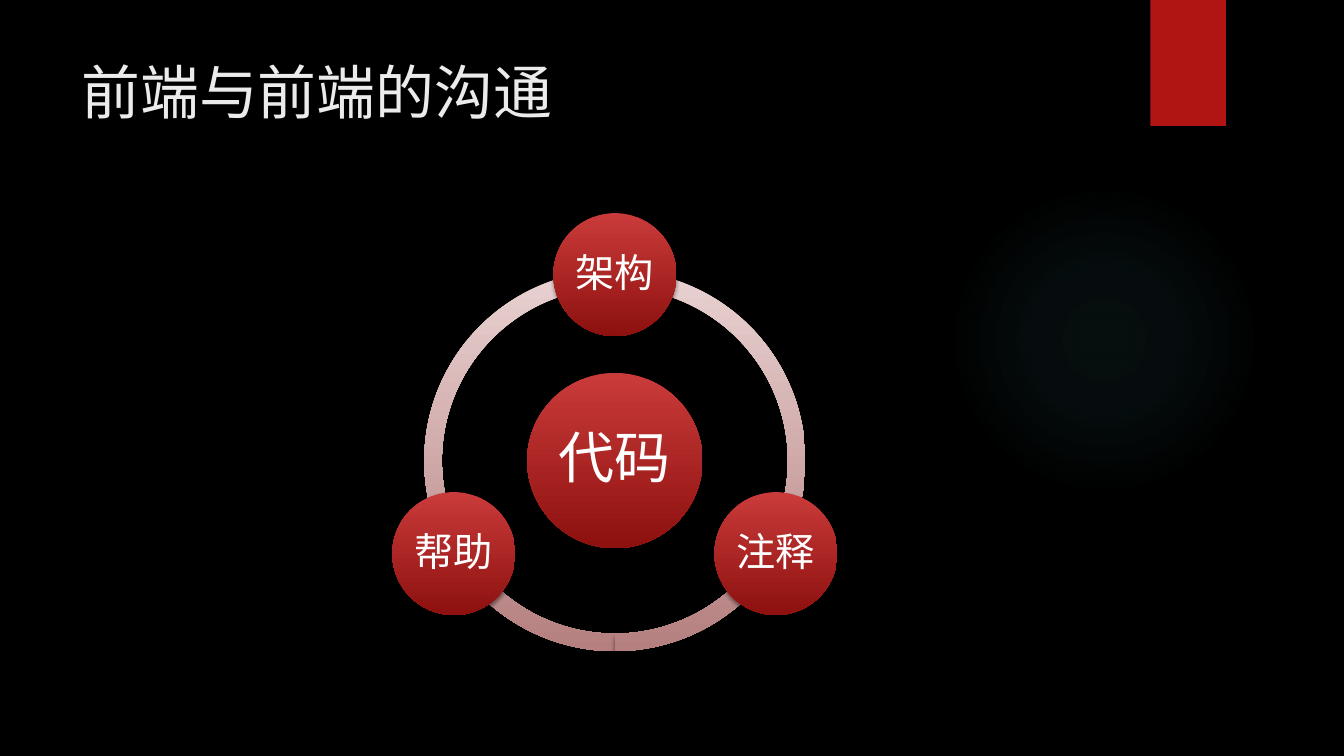
from math import cos, radians, sin

from pptx import Presentation
from pptx.dml.color import RGBColor
from pptx.enum.shapes import MSO_SHAPE
from pptx.enum.text import MSO_ANCHOR, PP_ALIGN
from pptx.oxml import parse_xml
from pptx.oxml.ns import nsdecls
from pptx.util import Inches, Pt

OVAL, RECTANGLE, ARC = MSO_SHAPE.OVAL, MSO_SHAPE.RECTANGLE, MSO_SHAPE.BLOCK_ARC
CENTER, MIDDLE = PP_ALIGN.CENTER, MSO_ANCHOR.MIDDLE
WIDTH, HEIGHT = 13.33, 7.5
FONT = "Quicksand"
COLORS = {
    "background": "000000", "title": "EBEBEB", "label": "FFFFFF",
    "shadow": "000000", "ribbon": "B01513", "glow": "50B9C1",
    "ring_top": "E8D2D1", "ring_bottom": "B57F7F",
    "disc_top": "C93B3A", "disc_bottom": "8D110F",
}

# Cycle geometry, in inches and degrees
HUB = (0.4575 * WIDTH, 0.6093 * HEIGHT)
ORBIT = 1.845
RING_SIZE, RING_THICKNESS = 3.78, 0.046
HUB_SIZE, NODE_SIZE = 1.74, 1.22
NODES = ["架构", "注释", "帮助"]
ARCS = [(90, 162), (18, 90), (162, 18)]

DOWNWARD = '<a:lin ang="5400000" scaled="0"/>'
RADIAL = ('<a:path path="circle"><a:fillToRect l="50000" t="50000" '
          'r="50000" b="50000"/></a:path>')


def color(name):
    return RGBColor.from_string(COLORS[name])


def add_form(page, kind, left, top, width, height):
    form = page.shapes.add_shape(
        kind, Inches(left), Inches(top), Inches(width), Inches(height))
    form.line.fill.background()
    form.shadow.inherit = False
    return form


def add_centered(page, kind, center, size):
    return add_form(page, kind, center[0] - size / 2, center[1] - size / 2,
                    size, size)


def set_gradient(form, stops, direction):
    """Fill with stops of (position %, color name, opacity %)."""
    marks = "".join(
        f'<a:gs pos="{position * 1000}"><a:srgbClr val="{COLORS[name]}">'
        f'<a:alpha val="{opacity * 1000}"/></a:srgbClr></a:gs>'
        for position, name, opacity in stops)
    form._element.spPr.prstGeom.addnext(parse_xml(
        f'<a:gradFill {nsdecls("a")} rotWithShape="1">'
        f'<a:gsLst>{marks}</a:gsLst>{direction}</a:gradFill>'))


def set_shade(form, name):
    set_gradient(form, [(0, f"{name}_top", 100), (100, f"{name}_bottom", 100)],
                 DOWNWARD)


def set_shadow(form):
    effects = form._element.spPr.find(
        "{http://schemas.openxmlformats.org/drawingml/2006/main}effectLst")
    effects.append(parse_xml(
        f'<a:outerShdw {nsdecls("a")} blurRad="{Pt(3)}" dist="{Pt(2)}" '
        f'dir="5400000" rotWithShape="0"><a:srgbClr val="{COLORS["shadow"]}">'
        f'<a:alpha val="45000"/></a:srgbClr></a:outerShdw>'))


def add_run(para, text, size, name):
    span = para.add_run()
    span.text = text
    span.font.name = FONT
    span.font.size = Pt(size)
    span.font.color.rgb = color(name)


def add_title(page, text):
    box = page.shapes.add_textbox(
        Inches(0.71), Inches(0.5), Inches(10.29), Inches(1.53))
    box.text_frame.word_wrap = True
    add_run(box.text_frame.paragraphs[0], text, 42, "title")


def add_disc(page, center, size, text, text_size):
    disc = add_centered(page, OVAL, center, size)
    set_shade(disc, "disc")
    set_shadow(disc)
    frame = disc.text_frame
    frame.word_wrap = False
    frame.vertical_anchor = MIDDLE
    frame.margin_left = frame.margin_right = Inches(0.04)
    frame.margin_top = frame.margin_bottom = Inches(0.04)
    para = frame.paragraphs[0]
    para.alignment = CENTER
    para.line_spacing = 0.9
    add_run(para, text, text_size, "label")


def add_arc(page, start, end):
    arc = add_centered(page, ARC, HUB, RING_SIZE)
    # Angles are stored in 60000ths of a degree, adjustments in 100000ths
    for index, value in enumerate((start * 0.6, end * 0.6, RING_THICKNESS)):
        arc.adjustments[index] = value
    set_shade(arc, "ring")
    set_shadow(arc)


def add_backdrop(page):
    page.background.fill.solid()
    page.background.fill.fore_color.rgb = color("background")
    glow = add_form(page, OVAL, 9.41, 1.83, 3.08, 3.08)
    set_gradient(glow, [(0, "glow", 7), (36, "glow", 6), (69, "glow", 0)],
                 RADIAL)
    ribbon = add_form(page, RECTANGLE, 11.41, 0, 0.75, HEIGHT / 6)
    ribbon.fill.solid()
    ribbon.fill.fore_color.rgb = color("ribbon")
    set_shadow(ribbon)


def add_cycle(page):
    for start, end in ARCS:
        add_arc(page, start, end)
    add_disc(page, HUB, HUB_SIZE, "代码", 40)
    # Nodes run clockwise from the top
    for index, text in enumerate(NODES):
        angle = radians(index * 360 / len(NODES) - 90)
        center = (HUB[0] + ORBIT * cos(angle), HUB[1] + ORBIT * sin(angle))
        add_disc(page, center, NODE_SIZE, text, 28)


def main():
    deck = Presentation()
    deck.slide_width, deck.slide_height = Inches(WIDTH), Inches(HEIGHT)
    page = deck.slides.add_slide(deck.slide_layouts[6])
    add_backdrop(page)
    add_title(page, "前端与前端的沟通")
    add_cycle(page)
    deck.save("out.pptx")


if __name__ == "__main__":
    main()
